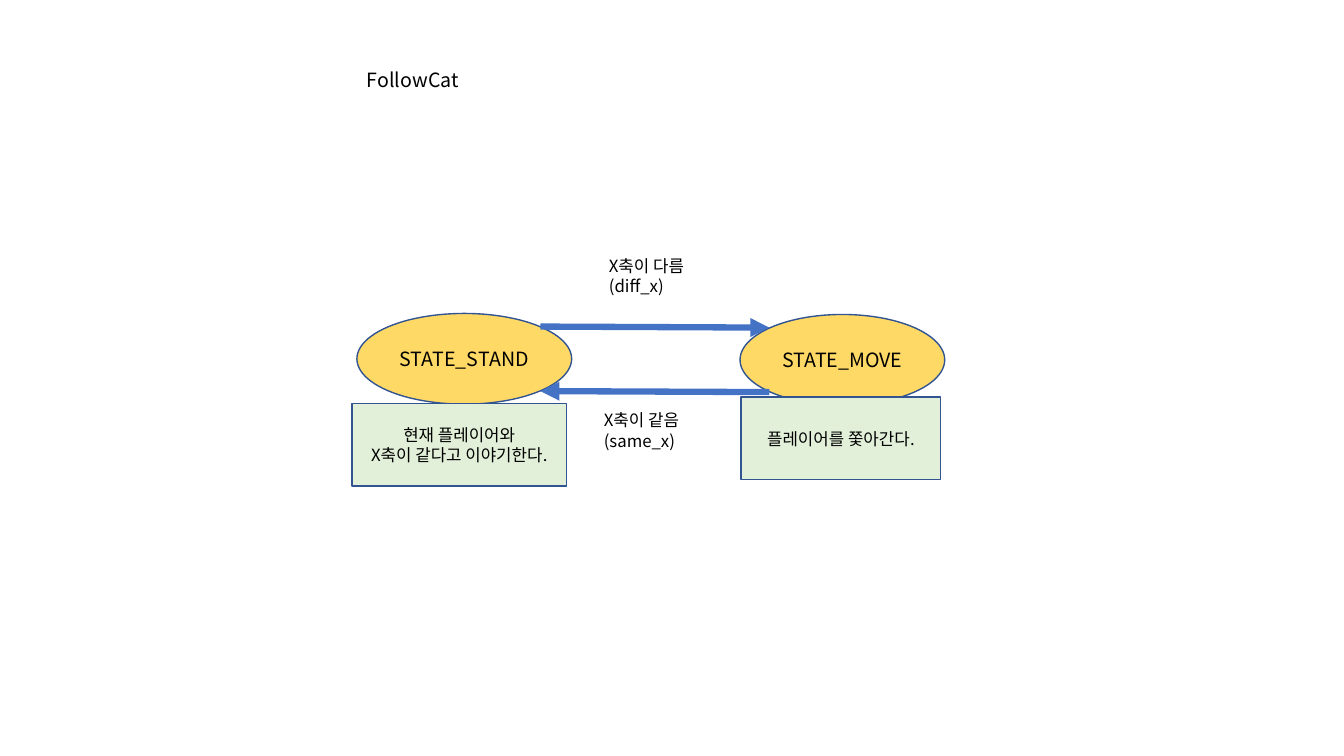
from lxml.etree import SubElement
from pptx import Presentation
from pptx.dml.color import RGBColor
from pptx.enum.shapes import MSO_CONNECTOR, MSO_SHAPE
from pptx.enum.text import MSO_ANCHOR, MSO_AUTO_SIZE, PP_ALIGN
from pptx.oxml.ns import qn
from pptx.util import Inches, Pt

FONT = "Noto Sans CJK KR"
COLORS = {
    "state": "FFD966",
    "action": "E2F0D9",
    "outline": "325491",
    "arrow": "4472C4",
    "text": "000000",
}


def rgb(name):
    """Return the named colour."""
    return RGBColor.from_string(COLORS[name])


def write(tf, lines, size, align):
    """Fill a text frame with one paragraph per line."""
    tf.word_wrap = True
    for i, line in enumerate(lines):
        p = tf.paragraphs[0] if i == 0 else tf.add_paragraph()
        p.add_run().text = line
        p.alignment = align
        p.font.size = Pt(size)
        p.font.color.rgb = rgb("text")
        p.font.name = FONT
        SubElement(p._p.pPr.find(qn("a:defRPr")), qn("a:ea"), typeface=FONT)


def add_node(slide, kind, fill, box, lines, size):
    """Add an outlined shape with centred text."""
    s = slide.shapes.add_shape(kind, *map(Inches, box))
    s.shadow.inherit = False
    s.fill.solid()
    s.fill.fore_color.rgb = rgb(fill)
    s.line.color.rgb = rgb("outline")
    s.line.width = Pt(1)
    s.text_frame.vertical_anchor = MSO_ANCHOR.MIDDLE
    write(s.text_frame, lines, size, PP_ALIGN.CENTER)


def add_state(slide, box, name):
    """Add a state ellipse."""
    add_node(slide, MSO_SHAPE.OVAL, "state", box, [name], 14)


def add_action(slide, box, lines):
    """Add the box that tells what happens in a state."""
    add_node(slide, MSO_SHAPE.RECTANGLE, "action", box, lines, 12)


def add_arrow(slide, start, end):
    """Add a thick transition arrow."""
    s = slide.shapes.add_connector(
        MSO_CONNECTOR.STRAIGHT, *map(Inches, start + end))
    s.line.color.rgb = rgb("arrow")
    s.line.width = Pt(4.5)
    SubElement(s.line._get_or_add_ln(), qn("a:tailEnd"), type="triangle")
    SubElement(s._element.spPr, qn("a:effectLst"))


def add_label(slide, box, lines, size=12):
    """Add a left-aligned text box."""
    tf = slide.shapes.add_textbox(*map(Inches, box)).text_frame
    write(tf, lines, size, PP_ALIGN.LEFT)
    tf.auto_size = MSO_AUTO_SIZE.SHAPE_TO_FIT_TEXT


def main():
    """Build the FollowCat state diagram."""
    prs = Presentation()
    prs.slide_width, prs.slide_height = Inches(13.33), Inches(7.5)
    slide = prs.slides.add_slide(prs.slide_layouts[6])

    add_state(slide, (3.54, 3.11, 2.13, 0.9), "STATE_STAND")
    add_state(slide, (7.34, 3.12, 2.03, 0.9), "STATE_MOVE")
    add_arrow(slide, (5.36, 3.24), (7.63, 3.25))
    add_arrow(slide, (7.63, 3.89), (5.36, 3.88))
    add_action(slide, (3.49, 4, 2.13, 0.82),
               ["현재 플레이어와", "X축이 같다고 이야기한다."])
    add_action(slide, (7.35, 3.94, 1.98, 0.82), ["플레이어를 쫓아간다."])
    add_label(slide, (5.94, 2.49, 2.35, 0.5), ["X축이 다름", "(diff_x)"])
    add_label(slide, (5.89, 4.02, 1.22, 0.5), ["X축이 같음(same_x)"])
    add_label(slide, (3.54, 0.62, 2.35, 0.34), ["FollowCat"], 14)

    prs.save("out.pptx")


main()
